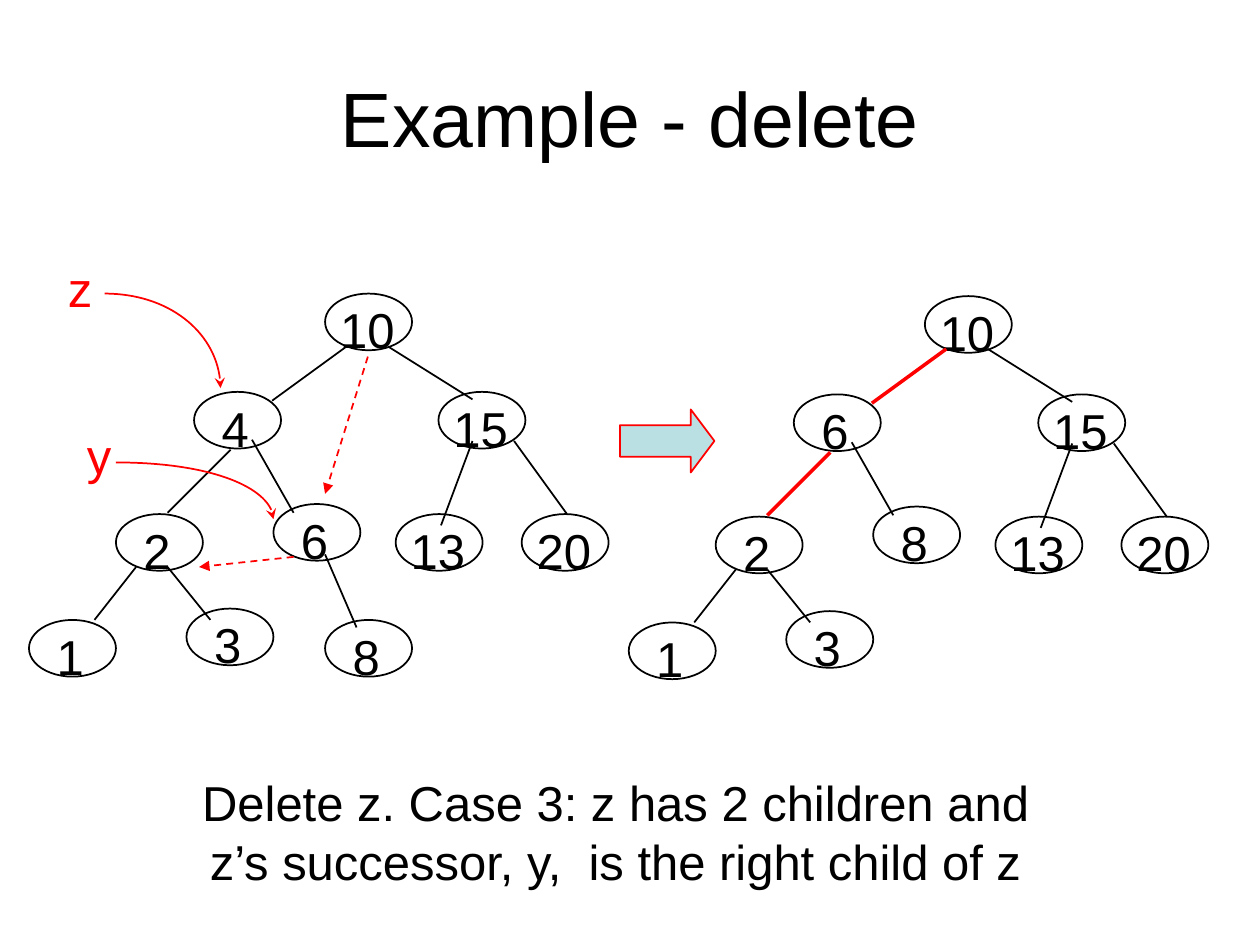
import pptx
import pptx.util
import pptx.dml.color
import pptx.enum.dml
import pptx.enum.shapes
import pptx.enum.text
import pptx.oxml
import pptx.oxml.ns
from lxml import etree

Inches = pptx.util.Inches
Pt = pptx.util.Pt
qn = pptx.oxml.ns.qn
SHAPE = pptx.enum.shapes.MSO_SHAPE
ALIGN = pptx.enum.text.PP_ALIGN
ANCHOR = pptx.enum.text.MSO_ANCHOR
DASH = pptx.enum.dml.MSO_LINE.DASH

BLACK = pptx.dml.color.RGBColor(0, 0, 0)
RED = pptx.dml.color.RGBColor(0xFF, 0, 0)
AQUA = pptx.dml.color.RGBColor(0xBB, 0xE0, 0xE3)

FONT = {"name": "Arial", "size": Pt(28)}
HEAD = {"name": "Arial", "size": Pt(44)}

# Node slots, as offsets from the corner of the tree box
SLOTS = {
    "root": (2.35, 0), "left": (1.31, 0.78), "right": (3.25, 0.78),
    "ll": (0.69, 1.75), "lr": (1.94, 1.67), "rl": (2.91, 1.75),
    "rr": (3.91, 1.75), "lll": (0, 2.59), "llr": (1.25, 2.5),
    "lrr": (2.35, 2.59),
}
# Edge into each slot: start and end offsets
EDGES = {
    "left": (2.52, 0.42, 1.93, 0.85), "right": (2.85, 0.42, 3.52, 0.84),
    "ll": (1.6, 1.24, 1.1, 1.74), "lr": (1.77, 1.16, 2.1, 1.74),
    "rl": (3.52, 1.17, 3.27, 1.84), "rr": (3.85, 1.17, 4.27, 1.75),
    "lll": (0.85, 2.17, 0.52, 2.59), "llr": (1.1, 2.17, 1.44, 2.59),
    "lrr": (2.35, 2.07, 2.6, 2.65),
}


def style(part, vals):
    for key, val in vals.items():
        setattr(part, key, val)


def ink(line, color, width=1, tip=None, dash=None):
    line.color.rgb = color
    style(line, {"width": Pt(width), "dash_style": dash})
    if tip:
        etree.SubElement(line._get_or_add_ln(), qn("a:tailEnd"), type=tip)


def text(shapes, box, lines, color=BLACK, wrap=False):
    frame = shapes.add_textbox(*map(Inches, box)).text_frame
    frame.word_wrap = wrap
    frame.text = "\n".join(lines)
    for para in frame.paragraphs:
        para.alignment = ALIGN.CENTER
        style(para.font, FONT)
        para.font.color.rgb = color


def link(shapes, ends, color=BLACK, **look):
    line = shapes.add_connector(
        pptx.enum.shapes.MSO_CONNECTOR.STRAIGHT, *map(Inches, ends))
    ink(line.line, color, **look)
    etree.SubElement(line._element.spPr, qn("a:effectLst"))


def curve(shapes, box):
    """Quarter arc from the top left to the bottom right of the box."""
    x, y, w, h = map(Inches, box)
    pen = shapes.build_freeform(x, y)
    pen.add_line_segments([(x + w, y + h)], close=False)
    arc = pen.convert_to_shape()
    arc.shadow.inherit = False
    arc.fill.background()
    ink(arc.line, RED, tip="stealth")
    bend = next(arc._element.iter(qn("a:lnTo")))
    bend.tag = qn("a:cubicBezTo")
    for spot, (px, py) in enumerate([(0.55 * w, 0), (w, 0.45 * h)]):
        node = etree.Element(qn("a:pt"), x=str(int(px)), y=str(int(py)))
        bend.insert(spot, node)


def tree(shapes, x, y, keys, bold=()):
    for slot, key in keys.items():
        dx, dy = SLOTS[slot]
        left, top = x + dx, y + dy
        oval = shapes.add_shape(
            SHAPE.OVAL, *map(Inches, (left, top, 0.69, 0.45)))
        oval.shadow.inherit = False
        oval.fill.background()
        ink(oval.line, BLACK)
        pad, wide = (0.02, 0.63) if len(key) == 2 else (0.12, 0.41)
        text(shapes, (left + pad, top, wide, 0.57), [key])
    for slot in keys:
        if slot in EDGES:
            x1, y1, x2, y2 = EDGES[slot]
            hot = slot in bold
            link(shapes, (x + x1, y + y1, x + x2, y + y2),
                 RED if hot else BLACK, width=2 if hot else 1)


def marks(shapes, x, y):
    # Names of the nodes, with curved pointers
    text(shapes, (x + 0.21, y - 0.33, 0.39, 0.57), ["z"], RED)
    curve(shapes, (x + 0.6, y, 0.92, 0.75))
    text(shapes, (x + 0.36, y + 1, 0.39, 0.57), ["y"], RED)
    curve(shapes, (x + 0.69, y + 1.34, 1.25, 0.45))
    # New links after the delete
    for x1, y1, x2, y2 in [(2.69, 0.5, 2.35, 1.59), (2.1, 2.09, 1.35, 2.17)]:
        link(shapes, (x + x1, y + y1, x + x2, y + y2), RED,
             tip="triangle", dash=DASH)


def arrow(shapes, box):
    block = shapes.add_shape(SHAPE.RIGHT_ARROW, *map(Inches, box))
    block.shadow.inherit = False
    block.adjustments[1] = 0.375
    block.fill.solid()
    block.fill.fore_color.rgb = AQUA
    ink(block.line, RED)


def title(slide, box, words):
    head = slide.shapes.title
    style(head, dict(zip(("left", "top", "width", "height"),
                         map(Inches, box))))
    frame = head.text_frame
    frame.text = words
    frame.vertical_anchor = ANCHOR.MIDDLE
    para = frame.paragraphs[0]
    para.alignment = ALIGN.CENTER
    style(para.font, HEAD)
    para.font.color.rgb = BLACK


def main():
    deck = pptx.Presentation()
    style(deck, {"slide_width": Inches(10), "slide_height": Inches(7.5)})
    slide = deck.slides.add_slide(deck.slide_layouts[5])
    shapes = slide.shapes
    title(slide, (0.5, 0.3, 9, 1.25), "Example - delete")

    # Tree before the delete
    old = {"root": "10", "left": "4", "right": "15", "ll": "2", "lr": "6",
           "rl": "13", "rr": "20", "lll": "1", "llr": "3", "lrr": "8"}
    tree(shapes, 0.23, 2.33, old)
    marks(shapes, 0.23, 2.33)

    # Tree after the delete: 6 takes the place of 4, and 8 that of 6
    new = {**old, "left": "6", "lr": "8"}
    del new["lrr"]
    group = shapes.add_group_shape().shapes
    arrow(group, (4.92, 3.25, 0.75, 0.5))
    tree(group, 4.99, 2.35, new, bold=("left", "ll"))

    # Caption
    text(shapes, (1.43, 6.08, 6.91, 1.04),
         ["Delete z. Case 3: z has 2 children and",
          "z’s successor, y,  is the right child of z"], wrap=True)
    deck.save("out.pptx")


if __name__ == "__main__":
    main()
